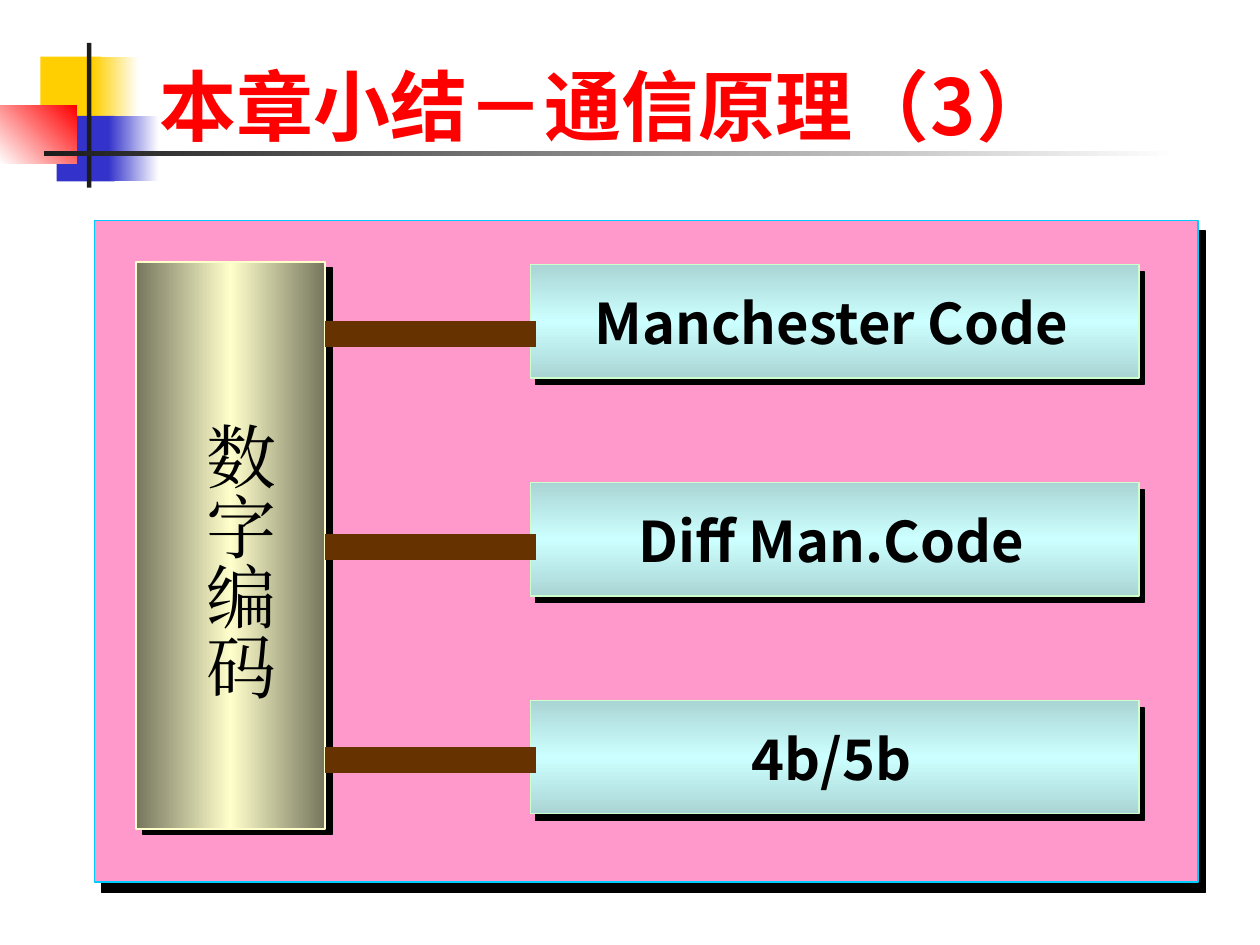
from typing import NamedTuple

from lxml.etree import SubElement
from pptx import Presentation
from pptx.dml.color import RGBColor
from pptx.enum.shapes import MSO_CONNECTOR, MSO_SHAPE
from pptx.enum.text import MSO_ANCHOR, PP_ALIGN
from pptx.oxml.ns import qn
from pptx.util import Inches, Pt

COLUMNS, ROWS = 100, 75
CELL = Inches(10) // COLUMNS
SANS = "Noto Sans CJK SC"
CODES = ["Manchester Code", "Diff Man.Code", "4b/5b"]


class Box(NamedTuple):
    left: float
    top: float
    width: float
    height: float

    def inner(self, left, top, width, height):
        return Box(self.left + left, self.top + top, width, height)

    def lengths(self):
        return [round(value * CELL) for value in self]


def color(value):
    return RGBColor.from_string(value)


def add_gradient(shape, stops, angle):
    shape.fill.gradient()
    gradient = shape.fill._fill._gradFill
    stop_list = gradient.find(qn("a:gsLst"))
    for stop in list(stop_list):
        stop_list.remove(stop)
    for index, value in enumerate(stops):
        position = index * 100000 // (len(stops) - 1)
        stop = SubElement(stop_list, qn("a:gs"), pos=str(position))
        SubElement(stop, qn("a:srgbClr"), val=value)
    shape.fill.gradient_angle = -angle % 360


def add_shadow(shape, distance, angle):
    effects = shape._element.spPr.find(qn("a:effectLst"))
    shadow = SubElement(effects, qn("a:outerShdw"), blurRad="0", dist=str(Pt(distance)),
                        dir=str(angle * 60000), algn="ctr", rotWithShape="0")
    SubElement(shadow, qn("a:srgbClr"), val="000000")


def add_block(shapes, box, fill, angle=0, line=None, shadow=None):
    shape = shapes.add_shape(MSO_SHAPE.RECTANGLE, *box.lengths())
    shape.shadow.inherit = False
    if isinstance(fill, str):
        shape.fill.solid()
        shape.fill.fore_color.rgb = color(fill)
    else:
        add_gradient(shape, fill, angle)
    if line:
        shape.line.color.rgb = color(line)
        shape.line.width = Pt(0.75)
    else:
        shape.line.fill.background()
    if shadow:
        add_shadow(shape, *shadow)


def add_text(shapes, box, text, size, font=SANS, fill="000000", bold=False,
             align=PP_ALIGN.LEFT, anchor=MSO_ANCHOR.TOP, wrap=True, vertical=False):
    shape = shapes.add_textbox(*box.lengths())
    frame = shape.text_frame
    frame.word_wrap = wrap
    frame.vertical_anchor = anchor
    if vertical:
        frame._txBody.bodyPr.set("vert", "eaVert")
        frame.margin_left = frame.margin_right = Inches(0.05)
        frame.margin_top = frame.margin_bottom = Inches(0.1)
    paragraph = frame.paragraphs[0]
    paragraph.alignment = align
    run = paragraph.add_run()
    run.text = text
    run.font.size = Pt(size)
    run.font.bold = bold
    run.font.name = font
    run.font.color.rgb = color(fill)
    SubElement(run._r.rPr, qn("a:ea"), typeface=font)


def add_bar(shapes, left, right, row):
    bar = shapes.add_connector(MSO_CONNECTOR.STRAIGHT, *[
        round(value * CELL) for value in (left, row, right, row)])
    bar.line.color.rgb = color("663300")
    bar.line.width = Pt(15)
    SubElement(bar._element.spPr, qn("a:effectLst"))


def add_ornament(shapes, box):
    yellow, blue, dark, white = "FFCF01", "3333CC", "1C1C1C", "FFFFFF"
    add_block(shapes, box.inner(3.2, 1.1, 4.8, 5.2), yellow)
    add_block(shapes, box.inner(7.4, 1.1, 3.6, 5.2), [yellow, white])
    add_block(shapes, box.inner(4.5, 5.8, 4.6, 5.2), blue)
    add_block(shapes, box.inner(8.6, 5.8, 4, 5.2), [blue, white])
    add_block(shapes, box.inner(0, 5, 6.1, 4.6), [white, "FF0000"], angle=315)
    add_block(shapes, box.inner(6.9, 0, 0.35, 11.5), dark)
    add_block(shapes, box.inner(3.5, 8.6, 90, 0.35), [dark, white])


def add_title(shapes, box):
    add_text(shapes, box, "本章小结－通信原理（3）", 44, fill="FF0000", bold=True,
             anchor=MSO_ANCHOR.BOTTOM)


def add_code(shapes, box, text):
    group = shapes.add_group_shape().shapes
    add_block(group, box, ["AAD5D5", "CCFFFF", "AAD5D5"], angle=90,
              line="CCFFCC", shadow=(5, 53))
    add_text(group, box.inner(3.8, 1.65, 40.2, 5.8), text, 32, bold=True,
             align=PP_ALIGN.CENTER, anchor=MSO_ANCHOR.MIDDLE, wrap=False)


def add_diagram(shapes, box):
    pillar = box.inner(3.3, 3.3, 15, 45)
    first_code = box.inner(34.6, 3.5, 48.3, 9)
    add_block(shapes, box, "FF99CC", line="00CCFF", shadow=(7.2, 56))
    add_block(shapes, pillar, ["76765E", "FFFFCC", "76765E"],
              line="FFFFCC", shadow=(5, 37))
    for index, text in enumerate(CODES):
        add_code(shapes, first_code.inner(0, 17.3 * index, 48.3, 9), text)
    add_text(shapes, pillar.inner(3.4, 11.7, 8.6, 29.2), "数字编码", 40,
             font="Times New Roman", vertical=True)
    for index in range(len(CODES)):
        add_bar(shapes, pillar.left + pillar.width, first_code.left + 0.4,
                box.top + 9 + 16.9 * index)


def main():
    presentation = Presentation()
    presentation.slide_width = COLUMNS * CELL
    presentation.slide_height = ROWS * CELL
    slide = presentation.slides.add_slide(presentation.slide_layouts[6])
    add_ornament(slide.shapes, Box(0, 3.4, 93.5, 11.5))
    add_title(slide.shapes, Box(11.7, 2.5, 85.2, 10))
    add_diagram(slide.shapes, Box(7.5, 17.5, 87.6, 52.5))
    presentation.save("out.pptx")


if __name__ == "__main__":
    main()
